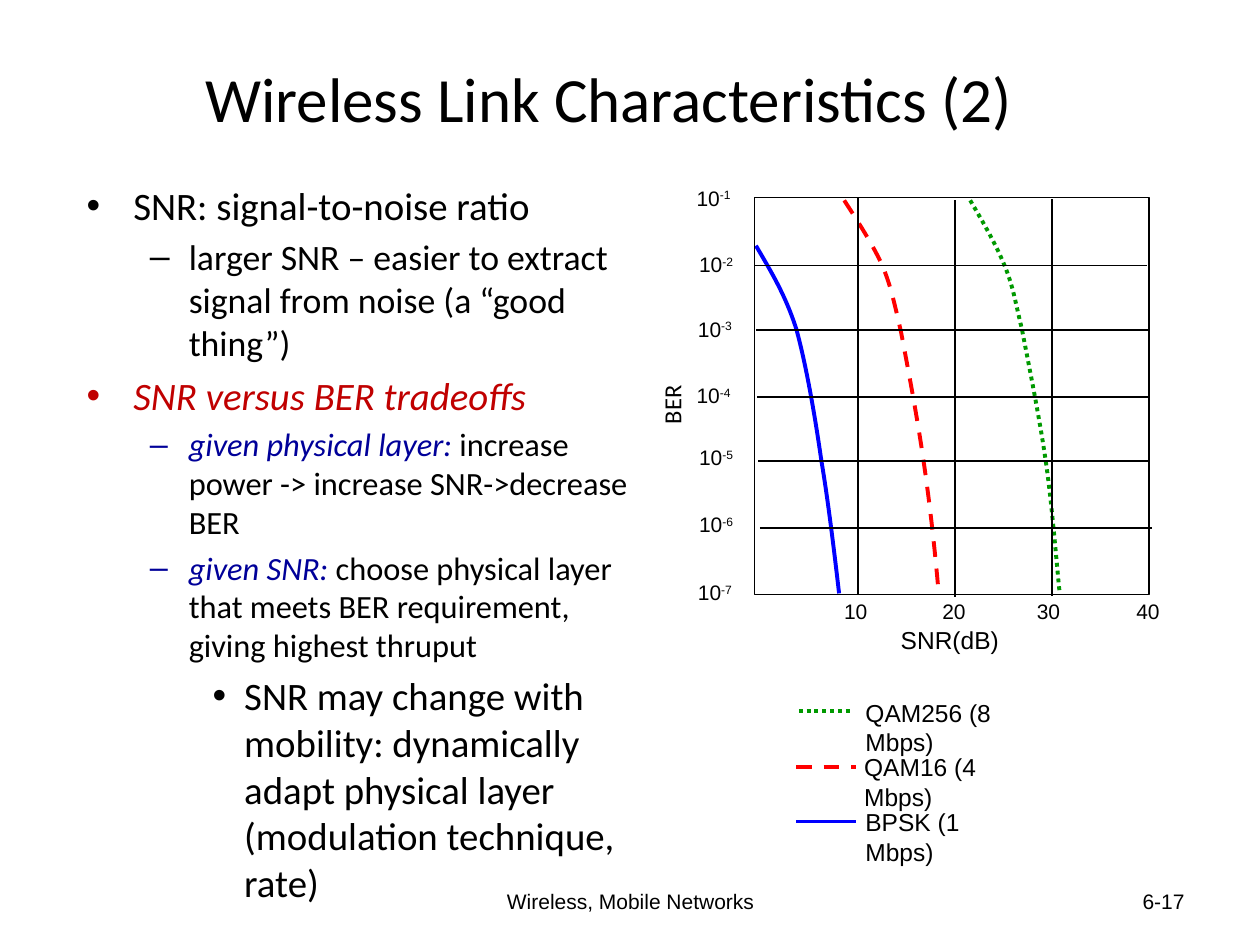
"""Build a slide on wireless links, with a drawn plot of BER against SNR."""
from lxml.etree import SubElement
from pptx import Presentation
from pptx.dml.color import RGBColor
from pptx.enum.dml import MSO_LINE
from pptx.enum.shapes import MSO_CONNECTOR, MSO_SHAPE
from pptx.enum.text import MSO_ANCHOR, MSO_AUTO_SIZE, PP_ALIGN
from pptx.oxml.ns import qn
from pptx.util import Inches, Pt


def rgb(code):
    return RGBColor.from_string(code)


def write(para, words, color="000000", **form):
    run = para.add_run()
    run.text = words
    for key, val in form.items():
        setattr(run.font, key, val)
    run.font.color.rgb = rgb(color)
    return run


deck = Presentation()
deck.slide_width, deck.slide_height = Inches(10), Inches(7.5)
slide = deck.slides.add_slide(deck.slide_layouts[6])
shapes = slide.shapes

small = {"name": "Arial", "size": Pt(12)}
large = {"name": "Arial", "size": Pt(14)}
head = {"name": "Calibri", "size": Pt(36)}
frames = [
    ((3.42, 6.95, 3.17, 0.4), "Wireless, Mobile Networks", PP_ALIGN.CENTER, small),
    ((7.17, 6.95, 2.33, 0.4), "6-17", PP_ALIGN.RIGHT, small),
    ((0.58, 0.15, 8.5, 1.25), "Wireless Link Characteristics (2)", PP_ALIGN.CENTER, head),
]
for place, words, align, form in frames:
    frame = shapes.add_textbox(*map(Inches, place)).text_frame
    frame.word_wrap = True
    frame.vertical_anchor = MSO_ANCHOR.MIDDLE
    frame.paragraphs[0].alignment = align
    write(frame.paragraphs[0], words, **form)

red, navy, black = "C00000", "000099", "000000"
levels = [(0.38, -0.37, "•"), (0.82, -0.31, "–"), (1.26, -0.25, "•")]
points = [
    (0, 22.2, [("SNR: signal-to-noise ratio", black, False)]),
    (1, 20.4, [("larger SNR – easier to extract signal from noise (a “good thing”)", black, False)]),
    (0, 22.2, [("SNR versus BER tradeoffs", red, True)]),
    (1, 18.5, [("given physical layer:", navy, True),
               (" increase power -> increase SNR->decrease BER", black, False)]),
    (1, 18.5, [("given SNR:", navy, True),
               (" choose physical layer that meets BER requirement, giving highest thruput", black, False)]),
    (2, 22.2, [("SNR may change with mobility: dynamically adapt physical layer "
                "(modulation technique, rate)", black, False)]),
]
body = shapes.add_textbox(Inches(0.58), Inches(1.39), Inches(4.68), Inches(5.68)).text_frame
body.word_wrap = True
for num, (level, size, runs) in enumerate(points):
    para = body.add_paragraph() if num else body.paragraphs[0]
    para.level = level
    para.space_before = Pt(round(size * 0.2, 1))
    left, hang, mark = levels[level]
    props = para._p.get_or_add_pPr()
    props.set("marL", str(Inches(left)))
    props.set("indent", str(Inches(hang)))
    SubElement(props, qn("a:buFont")).set("typeface", "Arial")
    SubElement(props, qn("a:buChar")).set("char", mark)
    for words, color, slant in runs:
        write(para, words, color, name="Calibri", size=Pt(size), italic=slant)

styles = {
    "BPSK": ("0000FF", 2.25, None),
    "QAM16": ("FF0000", 2.25, MSO_LINE.DASH),
    "QAM256": ("009900", 2.25, MSO_LINE.ROUND_DOT),
    "grid": ("000000", 0.75, None),
}
curves = {
    "BPSK": [(6, 1.95), (6.11, 2.14), (6.23, 2.33), (6.32, 2.61), (6.4, 2.9),
             (6.47, 3.31), (6.52, 3.66), (6.58, 4.01), (6.64, 4.54), (6.66, 4.71)],
    "QAM16": [(6.7, 1.59), (6.81, 1.76), (6.92, 1.93), (7, 2.1), (7.07, 2.27),
              (7.09, 2.37), (7.15, 2.63), (7.2, 2.89), (7.28, 3.31), (7.33, 3.66),
              (7.38, 4), (7.42, 4.36), (7.45, 4.71)],
    "QAM256": [(7.7, 1.59), (7.8, 1.76), (7.9, 1.93), (7.97, 2.1), (8.04, 2.27),
               (8.05, 2.36), (8.11, 2.61), (8.16, 2.87), (8.25, 3.31), (8.3, 3.66),
               (8.35, 4), (8.39, 4.52), (8.41, 4.7)],
}
drawn = []
for name, knots in curves.items():
    start, *rest = [tuple(map(Inches, knot)) for knot in knots]
    pen = shapes.build_freeform(*start)
    pen.add_line_segments(rest, close=False)
    curve = pen.convert_to_shape()
    track = next(curve._element.iter(qn("a:path")))
    lines = track.findall(qn("a:lnTo"))
    for first in range(0, len(lines), 3):
        bend = SubElement(track, qn("a:cubicBezTo"))
        for line in lines[first:first + 3]:
            bend.append(line[0])
            track.remove(line)
    drawn.append((curve, name))
plot = shapes.add_shape(MSO_SHAPE.RECTANGLE, *map(Inches, (5.99, 1.57, 3.13, 3.15)))
drawn.append((plot, "grid"))
for shape, name in drawn:
    shape.fill.background()
    shape.shadow.inherit = False

rules = [(5.99 + 0.01 * row, y, 9.1 + 0.01 * row, y, "grid")
         for row, y in enumerate((2.11, 2.62, 3.15, 3.66, 4.19))]
rules += [(x, y, x, y + 3.15, "grid") for x, y in ((6.81, 1.57), (7.58, 1.59), (8.35, 1.58))]
rules += [(6.32, 6.52, 6.79, 6.52, "BPSK"), (6.32, 6.09, 6.79, 6.09, "QAM16"),
          (6.34, 5.64, 6.77, 5.64, "QAM256")]
for *ends, name in rules:
    rule = shapes.add_connector(MSO_CONNECTOR.STRAIGHT, *map(Inches, ends))
    SubElement(rule._element.spPr, qn("a:effectLst"))
    drawn.append((rule, name))
for shape, name in drawn:
    color, width, dash = styles[name]
    shape.line.color.rgb = rgb(color)
    shape.line.width = Pt(width)
    if dash:
        shape.line.dash_style = dash

ticks = [(x, 4.7, 0.39, 0.3, str(10 * num), "", small)
         for num, x in enumerate((6.6, 7.38, 8.13, 8.92), 1)]
marks = [(5.43, 1.42), (5.45, 1.95), (5.44, 2.46), (5.43, 2.99),
         (5.45, 3.48), (5.45, 4.01), (5.44, 4.55)]
ticks += [(x, y, 0.48, 0.3, "10", f"-{num}", small) for num, (x, y) in enumerate(marks, 1)]
ticks += [(7.05, 4.91, 0.98, 0.33, "SNR(dB)", "", large),
          (5.07, 3.03, 0.53, 0.34, "BER", "", {**large, "name": "Calibri"})]
for *place, words, power, form in ticks:
    label = shapes.add_textbox(*map(Inches, place))
    label.rotation = 270 if words == "BER" else 0
    frame = label.text_frame
    frame.word_wrap = False
    frame.auto_size = MSO_AUTO_SIZE.SHAPE_TO_FIT_TEXT
    write(frame.paragraphs[0], words, **form)
    if power:
        run = write(frame.paragraphs[0], power, **form)
        run._r.get_or_add_rPr().set("baseline", "30000")

keys = [(6.77, 5.49, 1.78, "QAM256 (8 Mbps)"), (6.76, 5.92, 1.68, "QAM16 (4 Mbps)"),
        (6.77, 6.36, 1.54, "BPSK (1 Mbps)")]
for x, y, width, words in keys:
    frame = shapes.add_textbox(Inches(x), Inches(y), Inches(width), Inches(0.33)).text_frame
    frame.word_wrap = True
    frame.margin_right = Inches(0.5)
    write(frame.paragraphs[0], words, **large)

deck.save("out.pptx")
